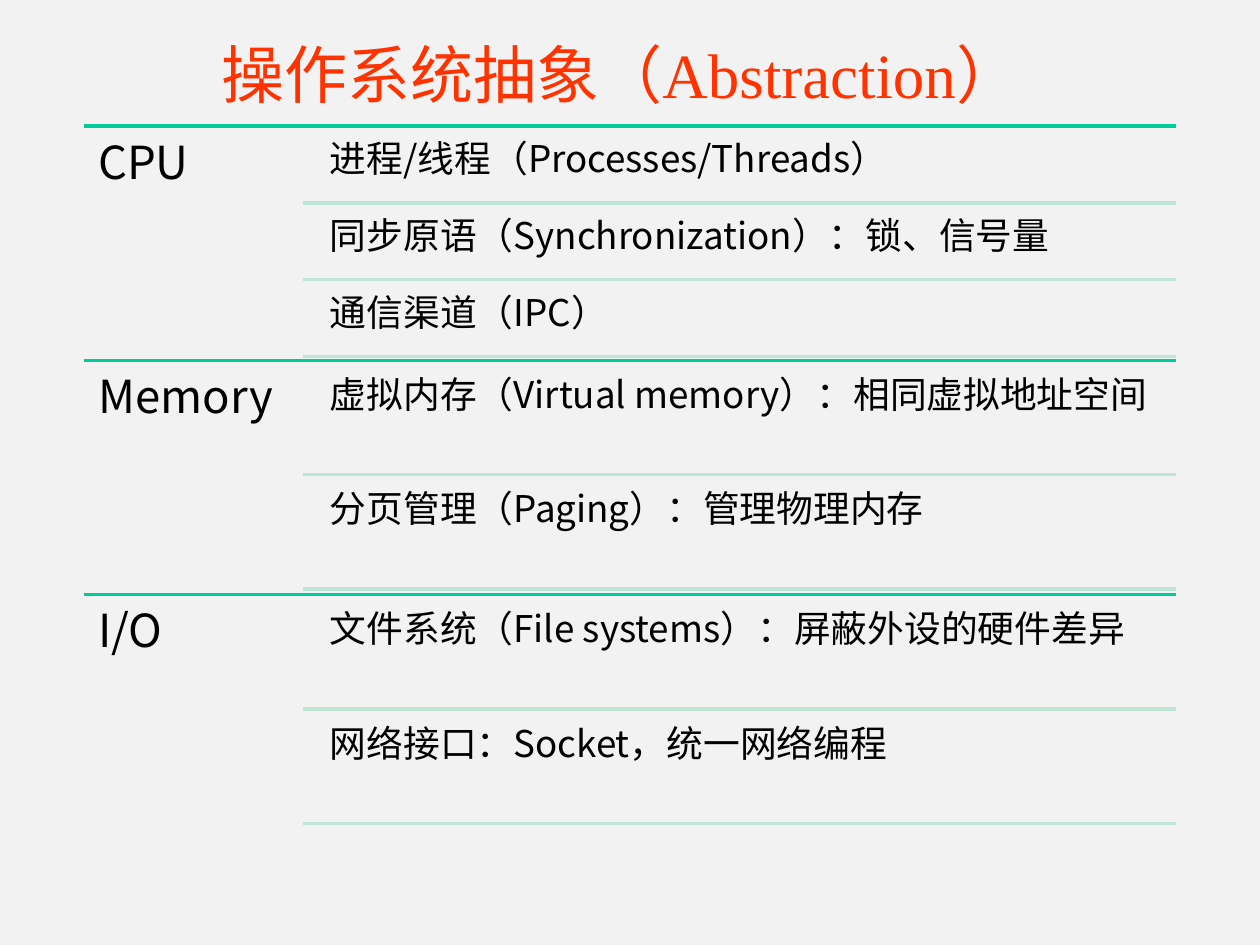
from lxml.etree import SubElement
from pptx import Presentation
from pptx.dml.color import RGBColor
from pptx.enum.shapes import MSO_CONNECTOR as Connector
from pptx.enum.text import MSO_ANCHOR as Anchor, PP_ALIGN as Align
from pptx.oxml.ns import qn
from pptx.util import Cm, Pt

SANS = "Noto Sans CJK SC"
SERIF = "Times New Roman"
STRONG_GREEN, PALE_GREEN = "00CC99", "BDE7D4"

SECTIONS = [
    ("CPU", [
        "进程/线程（Processes/Threads）",
        "同步原语（Synchronization）：锁、信号量",
        "通信渠道（IPC）",
    ]),
    ("Memory", [
        "虚拟内存（Virtual memory）：相同虚拟地址空间",
        "分页管理（Paging）：管理物理内存",
    ]),
    ("I/O", [
        "文件系统（File systems）：屏蔽外设的硬件差异",
        "网络接口：Socket，统一网络编程",
    ]),
]


def paint(color_format, hex_color):
    color_format.rgb = RGBColor.from_string(hex_color)


def write(shape, text, *, size, font=SANS, color="000000", align=Align.LEFT,
          anchor=Anchor.TOP, inset=0.25, spacing=0.9, after=0):
    frame = shape.text_frame
    frame.word_wrap = True
    frame.vertical_anchor = anchor
    frame.margin_left = frame.margin_right = Cm(inset)
    frame.margin_top = frame.margin_bottom = Cm(inset)
    paragraph = frame.paragraphs[0]
    paragraph.alignment = align
    paragraph.line_spacing = spacing
    paragraph.space_after = Pt(after)
    run = paragraph.add_run()
    run.text = text
    run.font.size = Pt(size)
    run.font.name = font
    paint(run.font.color, color)
    SubElement(run.font._element, qn("a:ea"), typeface=SANS)


def add_rule(shapes, left, right, y, color):
    rule = shapes.add_connector(Connector.STRAIGHT, Cm(left), Cm(y), Cm(right), Cm(y))
    paint(rule.line.color, color)
    rule.line.width = Pt(2)
    SubElement(rule._element.spPr, qn("a:effectLst"))


def add_title(slide, left, top, width, height):
    title = slide.shapes.title
    title.left, title.top = Cm(left), Cm(top)
    title.width, title.height = Cm(width), Cm(height)
    write(title, "操作系统抽象（Abstraction）", size=36, font=SERIF, color="FF3300",
          align=Align.CENTER, anchor=Anchor.MIDDLE, spacing=1)


def add_section(shapes, heading, details, left, top, width, height):
    right = left + width
    heading_width = width * 0.2
    detail_left = left + width * 0.215
    count = len(details)
    row_height = height / (count + 0.05 * (count + 1))
    gap = row_height * 0.05

    add_rule(shapes, left, right, top, STRONG_GREEN)
    heading_box = shapes.add_textbox(Cm(left), Cm(top), Cm(heading_width), Cm(height))
    write(heading_box, heading, size=26, inset=0.28, after=9.1)
    for index, detail in enumerate(details):
        row_top = top + gap + index * (row_height + gap)
        detail_box = shapes.add_textbox(
            Cm(detail_left), Cm(row_top), Cm(right - detail_left), Cm(row_height))
        write(detail_box, detail, size=21, inset=0.22, after=7.35)
        add_rule(shapes, left + heading_width, right, row_top + row_height, PALE_GREEN)


def add_outline(slide, left, top, width, height):
    outline = slide.shapes.add_group_shape()
    section_height = height / len(SECTIONS)
    for index, (heading, details) in enumerate(SECTIONS):
        add_section(outline.shapes, heading, details,
                    left, top + index * section_height, width, section_height)


def main():
    deck = Presentation()
    deck.slide_width, deck.slide_height = Cm(25.4), Cm(19.05)
    slide = deck.slides.add_slide(deck.slide_layouts[5])
    slide.background.fill.solid()
    paint(slide.background.fill.fore_color, "F2F2F2")
    add_title(slide, 0.53, 0.18, 23.95, 2.59)
    add_outline(slide, 1.7, 2.54, 22, 14.17)
    deck.save("out.pptx")


if __name__ == "__main__":
    main()
